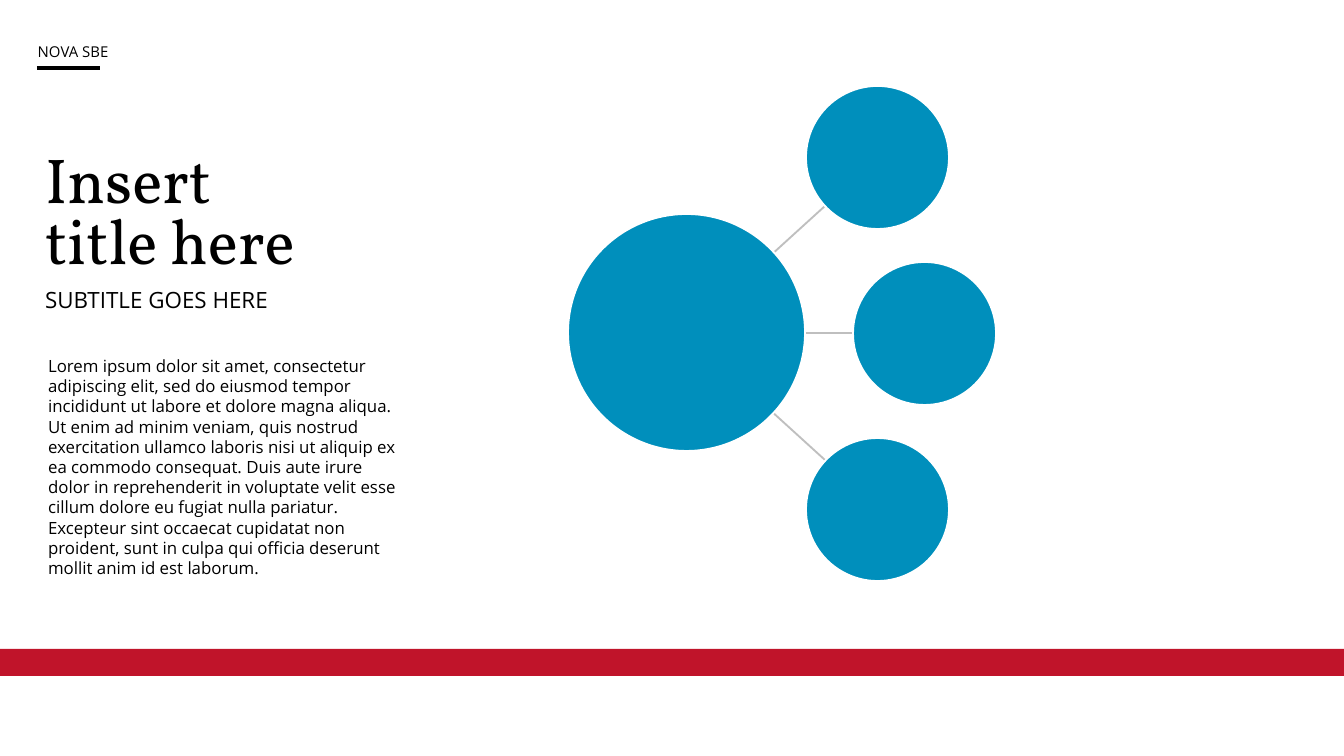
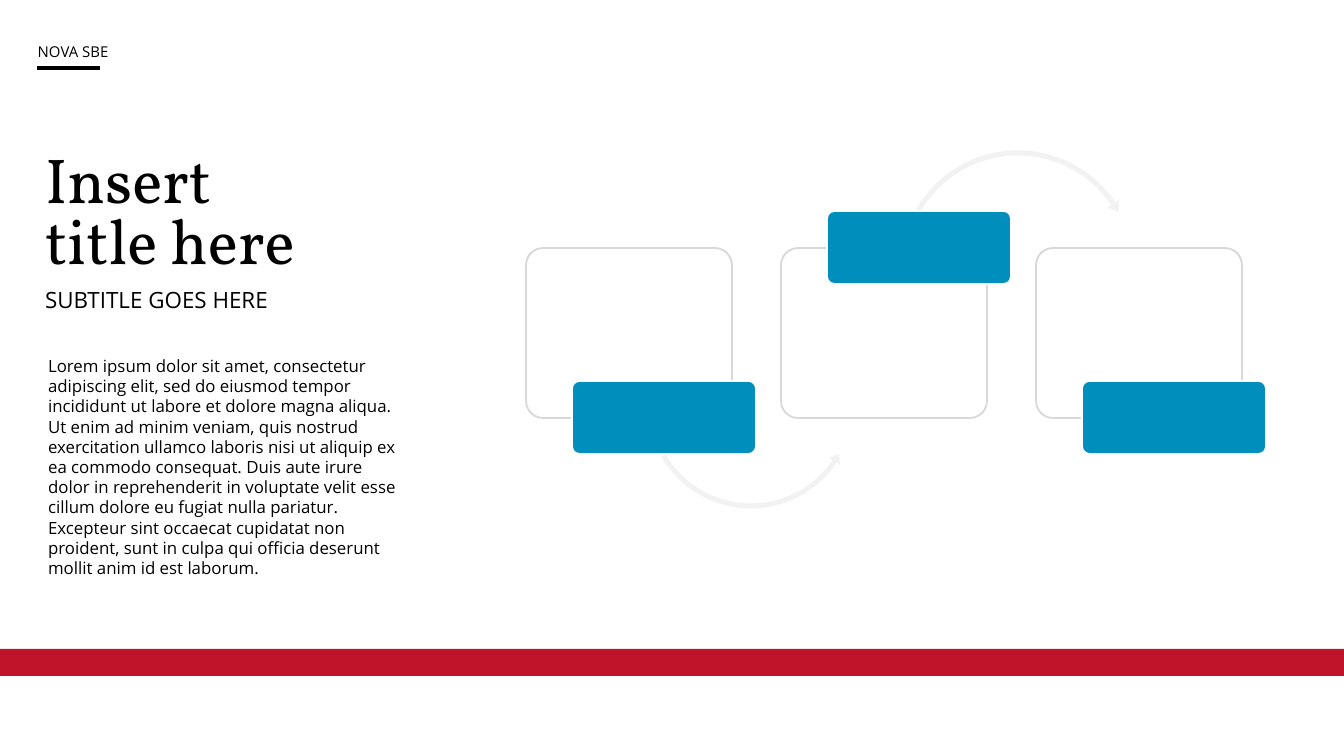
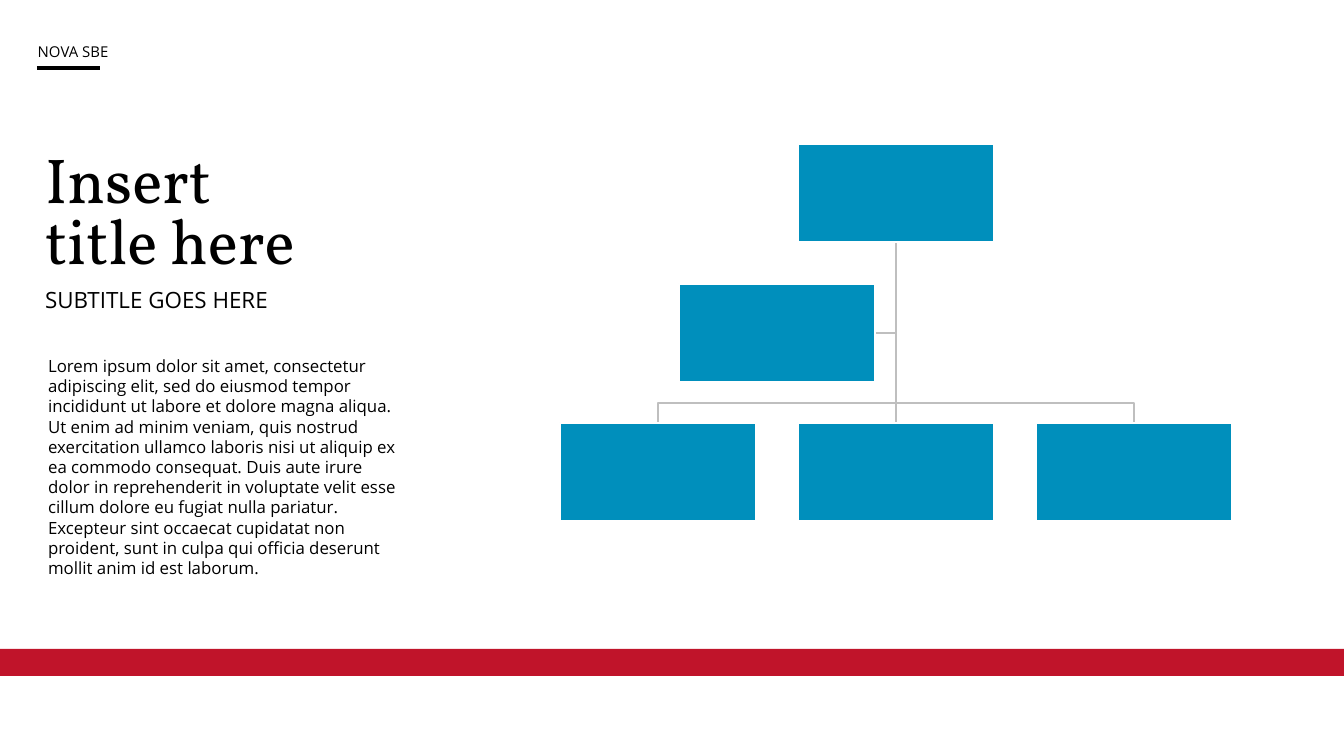
from math import cos, radians, sin, tan

from lxml import etree
from pptx import Presentation
from pptx.dml.color import RGBColor
from pptx.enum.shapes import MSO_CONNECTOR, MSO_SHAPE
from pptx.enum.text import MSO_ANCHOR, MSO_AUTO_SIZE
from pptx.oxml.ns import qn
from pptx.util import Emu, Pt

PX = 914400 / 134.4
BLANK_LAYOUT = 6

RECTANGLE = MSO_SHAPE.RECTANGLE
ROUNDED = MSO_SHAPE.ROUNDED_RECTANGLE
OVAL = MSO_SHAPE.OVAL
STRAIGHT = MSO_CONNECTOR.STRAIGHT
MIDDLE = MSO_ANCHOR.MIDDLE
GROW = MSO_AUTO_SIZE.SHAPE_TO_FIT_TEXT

BLACK = "000000"
WHITE = "FFFFFF"
RED = "C0142A"
BLUE = "008FBC"
LINK_GRAY = "BFBFBF"
CARD_GRAY = "D8D8D8"
ARROW_GRAY = "F2F2F2"
SANS = "Open Sans"
SERIF = "Vollkorn"

BODY = (
    "Lorem ipsum dolor sit amet, consectetur adipiscing elit, sed do eiusmod "
    "tempor incididunt ut labore et dolore magna aliqua. Ut enim ad minim "
    "veniam, quis nostrud exercitation ullamco laboris nisi ut aliquip ex ea "
    "commodo consequat. Duis aute irure dolor in reprehenderit in voluptate "
    "velit esse cillum dolore eu fugiat nulla pariatur. Excepteur sint occaecat "
    "cupidatat non proident, sunt in culpa qui officia deserunt mollit anim id "
    "est laborum."
)


def px(value):
    return Emu(round(value * PX))


def color(hex_string):
    return RGBColor.from_string(hex_string)


# Elements

def paint(shape, fill=None, line=None):
    shape.shadow.inherit = False
    if fill:
        shape.fill.solid()
        shape.fill.fore_color.rgb = color(fill)
    else:
        shape.fill.background()
    if line:
        shape.line.color.rgb = color(line)
        shape.line.width = Pt(1)
    else:
        shape.line.fill.background()


def add_block(page, kind, left, top, width, height, fill, line=None):
    block = page.shapes.add_shape(kind, px(left), px(top), px(width), px(height))
    paint(block, fill, line)
    if kind == ROUNDED:
        block.adjustments[0] = 0.1
    return block


def add_line(page, start, end, line_color, weight):
    line = page.shapes.add_connector(STRAIGHT, *map(px, start + end))
    line.line.color.rgb = color(line_color)
    line.line.width = Pt(weight)
    etree.SubElement(line._element.spPr, qn("a:effectLst"))


def add_outline(page, points, fill=None, line=None):
    first, *rest = [(px(x), px(y)) for x, y in points]
    builder = page.shapes.build_freeform(*first)
    builder.add_line_segments(rest, close=fill is not None)
    outline = builder.convert_to_shape()
    paint(outline, fill, line)
    return outline


def add_text(page, text, left, top, width, height, font, size,
             insets=(5.4, 3), spacing=None):
    box = page.shapes.add_textbox(px(left), px(top), px(width), px(height))
    frame = box.text_frame
    frame.word_wrap = True
    frame.margin_left = frame.margin_right = Pt(insets[0])
    frame.margin_top = frame.margin_bottom = Pt(insets[1])
    paragraph = frame.paragraphs[0]
    paragraph.text = text
    if spacing:
        paragraph.line_spacing = spacing
    paragraph.font.name = font
    paragraph.font.size = Pt(size)
    paragraph.font.color.rgb = color(BLACK)
    return frame


def add_card(page, left, top):
    card = add_block(page, ROUNDED, left, top, 206, 170, WHITE, CARD_GRAY)
    fill_color = card._element.spPr.find(qn("a:solidFill"))[0]
    etree.SubElement(fill_color, qn("a:alpha"), val="90000")


def add_arc_arrow(page, center_x, center_y, radius, side):
    """Draw an arrow from left to right: side 1 dips below, -1 rises above."""
    half_band, half_head = 2.5, 6.5
    start, neck, tip = 150, 34, 29
    half_box = radius + 6
    low_x, high_x = center_x - half_box, center_x + half_box
    low_y, high_y = center_y - half_box, center_y + half_box
    arrow = add_outline(page, [(low_x, low_y), (high_x, low_y),
                               (high_x, high_y), (low_x, high_y)], fill=ARROW_GRAY)
    track = arrow._element.spPr.find(".//" + qn("a:path"))
    for segment in list(track):
        track.remove(segment)

    def point(angle, distance, slide=0):
        """Point on a circle, moved along its tangent by slide."""
        turn = radians(side * angle)
        slide *= side
        return (half_box + distance * cos(turn) - slide * sin(turn),
                half_box + distance * sin(turn) + slide * cos(turn))

    def draw(tag, *points):
        segment = etree.SubElement(track, qn(tag))
        for x, y in points:
            etree.SubElement(segment, qn("a:pt"), x=str(px(x)), y=str(px(y)))

    def draw_arc(first, last, distance):
        step = (last - first) / 2
        handle = 4 / 3 * tan(radians(step) / 4) * distance
        for begin in (first, first + step):
            end = begin + step
            draw("a:cubicBezTo", point(begin, distance, handle),
                 point(end, distance, -handle), point(end, distance))

    inner, outer = radius - half_band, radius + half_band
    draw("a:moveTo", point(start, outer))
    draw("a:lnTo", point(start, inner))
    draw_arc(start, neck, inner)
    for corner in (point(neck, radius - half_head), point(tip, radius),
                   point(neck, radius + half_head), point(neck, outer)):
        draw("a:lnTo", corner)
    draw_arc(neck, start, outer)
    draw("a:close")


# Shared page frame

def add_page(deck):
    page = deck.slides.add_slide(deck.slide_layouts[BLANK_LAYOUT])
    add_block(page, RECTANGLE, 0, 649, 1344, 27, RED)
    add_line(page, (37, 68), (100, 68), BLACK, 2)
    add_text(page, "SUBTITLE GOES HERE", 35, 286, 431, 26, SANS, 12, spacing=0.8)
    add_text(page, BODY, 38, 350, 370, 195, SANS, 9)
    add_text(page, "Insert \vtitle here", 35, 149, 485, 126, SERIF, 34, spacing=0.8)
    header = add_text(page, "NOVA SBE", 35, 40, 363, 23, SANS, 8, insets=(1.5, 1.5))
    header.vertical_anchor = MIDDLE
    header.auto_size = GROW
    return page


# Diagrams

def add_hub_diagram(page):
    middle, rise, satellite = 333, 176, 143
    add_line(page, (770, middle + 77), (825, middle + 127), LINK_GRAY, 1)
    add_line(page, (770, middle), (853, middle), LINK_GRAY, 1)
    add_line(page, (770, middle - 77), (825, middle - 127), LINK_GRAY, 1)
    add_block(page, OVAL, 568, middle - 119, 237, 237, BLUE, WHITE)
    for row, left in enumerate((806, 853, 806), start=-1):
        top = middle + row * rise - satellite // 2
        add_block(page, OVAL, left, top, satellite, satellite, BLUE, WHITE)


def add_process_diagram(page):
    arrows = [(751, 405, 101, 1), (1018, 268, 115, -1), None]
    for column, (arrow, label_top) in enumerate(zip(arrows, (381, 211, 381))):
        left = 526 + 255 * column
        add_card(page, left, 248)
        if arrow:
            add_arc_arrow(page, *arrow)
        add_block(page, ROUNDED, left + 46, label_top, 184, 73, BLUE, WHITE)


def add_organization_chart(page):
    width, height, step = 196, 98, 238
    root_left, root_top, assistant_top, team_top = 798, 144, 284, 423
    trunk, bus = root_left + width / 2, 403
    root_bottom, assistant_middle = root_top + height, assistant_top + height / 2

    add_outline(page, [(trunk, root_bottom), (trunk, assistant_middle),
                       (875, assistant_middle)], line=LINK_GRAY)
    for end in (trunk + step, trunk - step):
        add_outline(page, [(trunk, root_bottom), (trunk, bus), (end, bus),
                           (end, team_top)], line=LINK_GRAY)
    add_line(page, (trunk, root_bottom), (trunk, team_top), LINK_GRAY, 1)

    team = [(root_left + step * column, team_top) for column in (-1, 0, 1)]
    for left, top in [(root_left, root_top), *team, (679, assistant_top)]:
        add_block(page, RECTANGLE, left, top, width, height, BLUE, WHITE)


def main():
    deck = Presentation()
    deck.slide_width, deck.slide_height = px(1344), px(756)
    for add_diagram in (add_hub_diagram, add_process_diagram, add_organization_chart):
        add_diagram(add_page(deck))
    deck.save("out.pptx")


if __name__ == "__main__":
    main()
